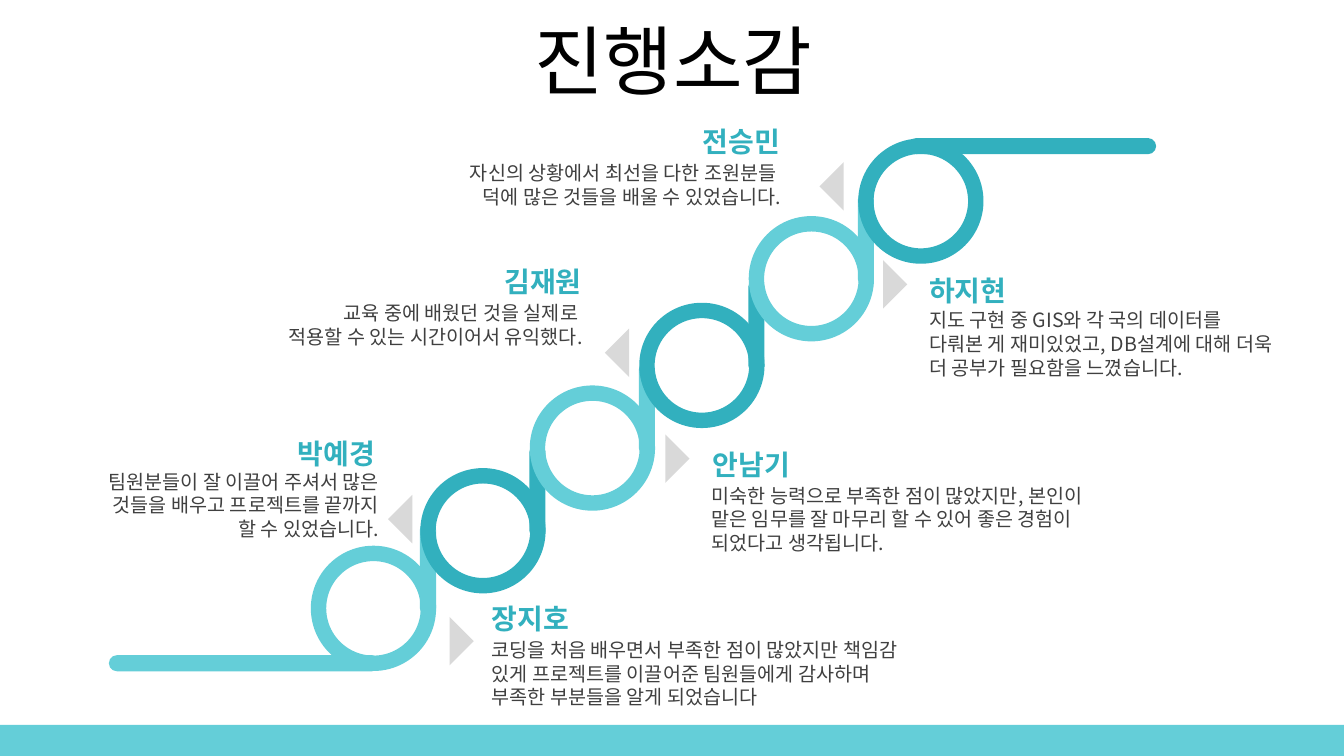
from dataclasses import dataclass

from lxml.etree import SubElement
from pptx import Presentation
from pptx.dml.color import RGBColor
from pptx.enum.shapes import MSO_SHAPE
from pptx.enum.text import MSO_ANCHOR, PP_ALIGN
from pptx.oxml.ns import qn
from pptx.util import Inches, Pt

LIGHT, DARK, GREY, BODY, BLACK = "64CED8", "32B0BE", "D9D9D9", "404040", "000000"
COLUMNS, ROWS = 133.33, 75

RING_LEFT, RING_STEP, RING_SIZE = 31.6, 10.86, 10.9
RING_TOPS = [54.9, 47.2, 39, 30.8, 22.2, 14.5]
BAND, LINK_LENGTH, LINK_OVERLAP = 1.6, 9.4, 0.8
ARROW_SIZE = 3.4


@dataclass
class Comment:
    name: str
    lines: list
    name_box: tuple
    text_box: tuple
    arrow: tuple
    points_left: bool


COMMENTS = [
    Comment("장지호",
            ["코딩을 처음 배우면서 부족한 점이 많았지만 책임감 있게 프로젝트를 "
             "이끌어준 팀원들에게 감사하며 부족한 부분들을 알게 되었습니다"],
            (47.8, 59.2, 40.2, 4.4), (47.8, 62.8, 43.3, 8.1), (42.9, 61.9), False),
    Comment("박예경",
            ["팀원분들이 잘 이끌어 주셔서 많은 것들을 배우고 프로젝트를 끝까지 "
             "할 수 있었습니다."],
            (8.6, 42.8, 29.6, 4.4), (8.9, 46.1, 29.7, 8.1), (39.2, 49.8), True),
    Comment("안남기",
            ["미숙한 능력으로 부족한 점이 많았지만, 본인이 맡은 임무를 잘 마무리 "
             "할 수 있어 좋은 경험이 되었다고 생각됩니다."],
            (69.7, 43.9, 40.2, 4.4), (69.6, 47.5, 40.2, 8.1), (64.3, 43.8), False),
    Comment("김재원",
            ["교육 중에 배웠던 것을 실제로 ", "적용할 수 있는 시간이어서 유익했다."],
            (19.1, 25.8, 39.6, 4.4), (14.4, 29.4, 44.4, 5.7), (60.7, 33.3), True),
    Comment("하지현",
            ["지도 구현 중 GIS와 각 국의 데이터를 다뤄본 게 재미있었고, "
             "DB설계에 대해 더욱 더 공부가 필요함을 느꼈습니다."],
            (91.2, 26.6, 31.6, 4.4), (91.2, 30.1, 36.8, 8.1), (85.9, 26.5), False),
    Comment("전승민",
            ["자신의 상황에서 최선을 다한 조원분들 ", "덕에 많은 것들을 배울 수 있었습니다."],
            (38.8, 11.9, 39.6, 4.4), (38.9, 15.5, 39.6, 5.7), (82, 16.8), True),
]


def color(value):
    return RGBColor.from_string(value)


class SlideBuilder:
    """Places elements on a grid whose square cells are a tenth of an inch."""

    font_name = "Noto Sans CJK KR"
    cell = Inches(0.1)

    def __init__(self, presentation):
        presentation.slide_width, presentation.slide_height = self.grid(COLUMNS, ROWS)
        self.slide = presentation.slides.add_slide(presentation.slide_layouts[5])

    def grid(self, *cells):
        return [round(count * self.cell) for count in cells]

    def format(self, paragraph, size, hex_color, align, bold=False):
        paragraph.alignment = align
        font = paragraph.font
        font.name, font.size, font.bold = self.font_name, Pt(size), bold
        font.color.rgb = color(hex_color)
        defaults = paragraph._p.pPr.find(qn("a:defRPr"))
        SubElement(defaults, qn("a:ea"), typeface=self.font_name)

    def title(self, text, box):
        shape = self.slide.shapes.title
        shape.left, shape.top, shape.width, shape.height = self.grid(*box)
        frame = shape.text_frame
        frame.text = text
        frame.word_wrap = True
        frame.vertical_anchor = MSO_ANCHOR.MIDDLE
        paragraph = frame.paragraphs[0]
        paragraph.line_spacing = 0.9
        self.format(paragraph, 54, BLACK, PP_ALIGN.CENTER)

    def text(self, lines, box, size, hex_color, align, bold=False):
        frame = self.slide.shapes.add_textbox(*self.grid(*box)).text_frame
        frame.word_wrap = True
        frame.text = "\n".join(lines)
        for paragraph in frame.paragraphs:
            self.format(paragraph, size, hex_color, align, bold)

    def solid(self, kind, box, hex_color, rotation=0):
        shape = self.slide.shapes.add_shape(kind, *self.grid(*box))
        shape.shadow.inherit = False
        shape.fill.solid()
        shape.fill.fore_color.rgb = color(hex_color)
        shape.line.fill.background()
        shape.rotation = rotation
        return shape

    def pill(self, box, hex_color):
        self.solid(MSO_SHAPE.ROUNDED_RECTANGLE, box, hex_color).adjustments[0] = 0.5

    def ring(self, left, top, hex_color):
        box = self.grid(left, top, RING_SIZE, RING_SIZE)
        shape = self.slide.shapes.add_shape(MSO_SHAPE.OVAL, *box)
        shape.shadow.inherit = False
        shape.fill.background()
        shape.line.color.rgb = color(hex_color)
        shape.line.width = Pt(11)

    def arrow(self, position, points_left):
        self.solid(MSO_SHAPE.RIGHT_TRIANGLE, (*position, ARROW_SIZE, ARROW_SIZE),
                   GREY, 45 if points_left else 225)

    def chain(self):
        """Draws the rings, each linked upwards to the next, and both end bars."""
        self.pill((10.8, 65, 26.9, BAND), LIGHT)
        self.pill((90.1, 13.7, 24.6, BAND), DARK)
        for index, top in enumerate(RING_TOPS):
            left = RING_LEFT + index * RING_STEP
            hex_color = DARK if index % 2 else LIGHT
            self.ring(left, top, hex_color)
            if index < len(RING_TOPS) - 1:
                bottom = top + RING_SIZE / 2 + LINK_OVERLAP
                self.pill((left + RING_STEP - BAND / 2, bottom - LINK_LENGTH,
                           BAND, LINK_LENGTH), hex_color)

    def comment(self, comment):
        align = PP_ALIGN.RIGHT if comment.points_left else PP_ALIGN.LEFT
        self.arrow(comment.arrow, comment.points_left)
        self.text([comment.name], comment.name_box, 20, DARK, align, bold=True)
        self.text(comment.lines, comment.text_box, 14, BODY, align)


def main():
    presentation = Presentation()
    builder = SlideBuilder(presentation)
    builder.solid(MSO_SHAPE.RECTANGLE, (0, 71.9, COLUMNS, 3.1), LIGHT)
    builder.title("진행소감", (3.5, 2.5, 126.6, 7.9))
    builder.chain()
    for comment in COMMENTS:
        builder.comment(comment)
    presentation.save("out.pptx")


if __name__ == "__main__":
    main()
